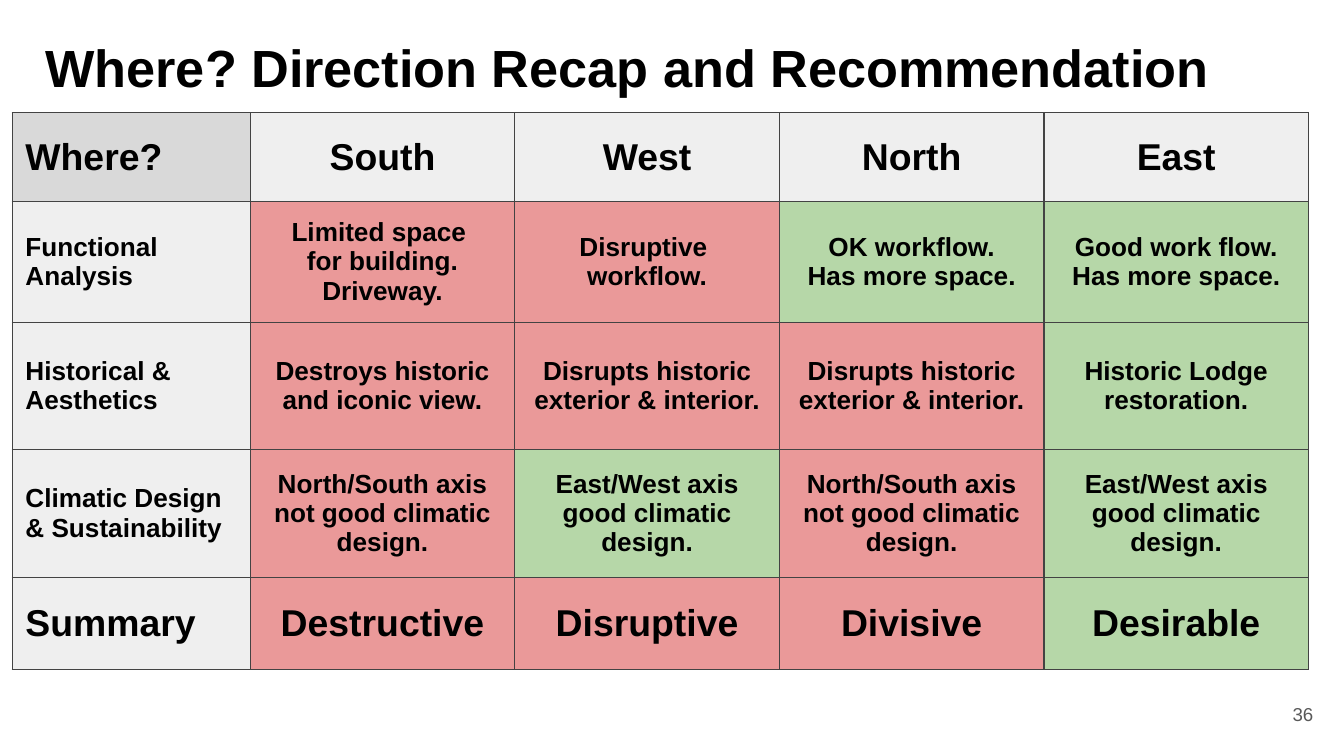
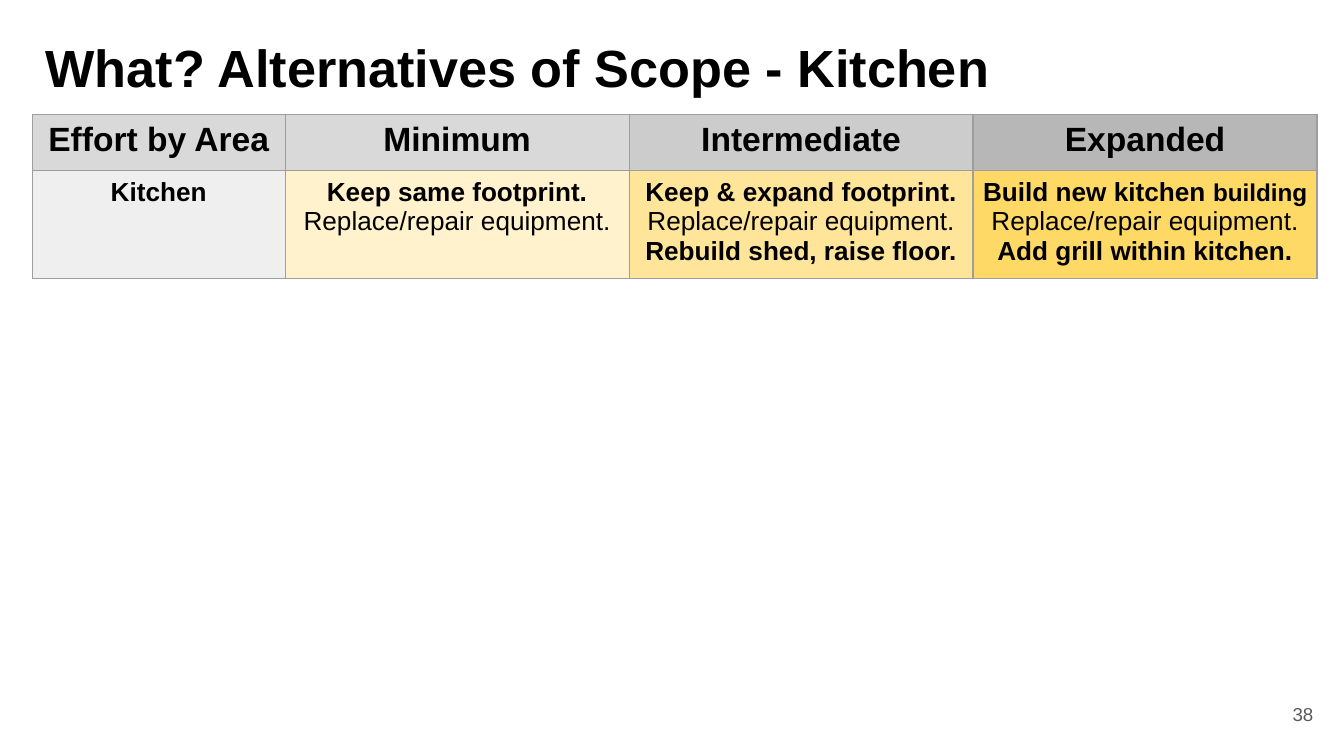
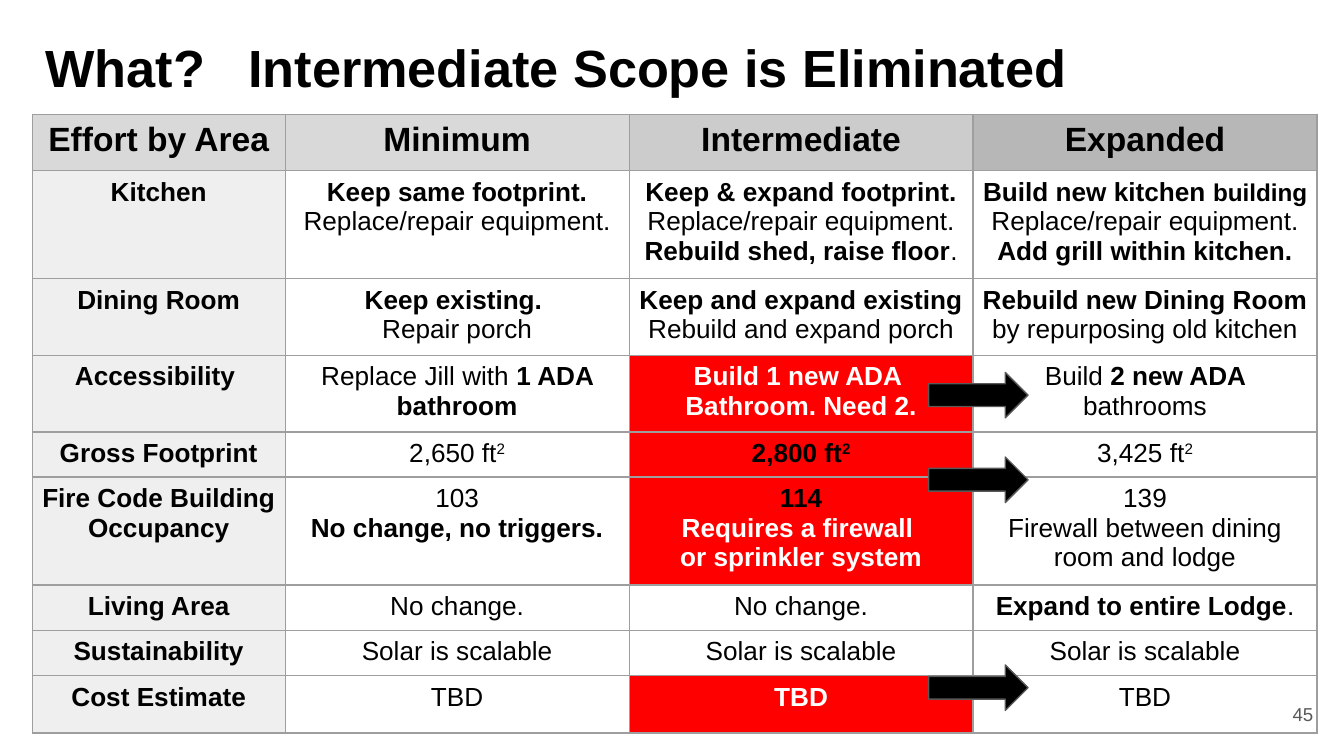
from dataclasses import dataclass
from typing import Optional, Union

import lxml.etree
import pptx
import pptx.dml.color
import pptx.enum.shapes
import pptx.enum.text
import pptx.oxml.ns
import pptx.util

Cm = pptx.util.Cm
Pt = pptx.util.Pt
qn = pptx.oxml.ns.qn
ALIGN = pptx.enum.text.PP_ALIGN
ANCHOR = pptx.enum.text.MSO_ANCHOR

FONT = "Arial"
COLOURS = {
    "text": "000000",
    "white": "FFFFFF",
    "number": "595959",
    "dark rule": "434343",
    "light rule": "9E9E9E",
    "label": "EFEFEF",
    "head": "D9D9D9",
    "head mid": "CCCCCC",
    "head dark": "B7B7B7",
    "bad": "EA9999",
    "good": "B6D7A8",
    "minimum": "FFF2CC",
    "intermediate": "FFE599",
    "expanded": "FFD966",
    "eliminated": "FF0000",
}


@dataclass(frozen=True)
class Piece:
    """A stretch of text in one format; size 0 takes the size of its cell."""
    text: str
    bold: bool = True
    colour: str = "text"
    size: float = 0
    raised: bool = False


Paragraph = Union[str, Piece, list[Piece]]


@dataclass(frozen=True)
class CellText:
    paragraphs: list[Paragraph]
    fill: Optional[str] = None
    size: float = 14
    align: ALIGN = ALIGN.CENTER


@dataclass(frozen=True)
class Grid:
    left: float
    top: float
    height: float
    columns: list[float]
    rows: list[float]
    rule: str
    inset: float
    anchor: ANCHOR


def rgb(name: str) -> pptx.dml.color.RGBColor:
    return pptx.dml.color.RGBColor.from_string(COLOURS[name])


# Text
def format_run(run, piece: Piece, size: float) -> None:
    run.font.name = FONT
    run.font.size = Pt(piece.size or size)
    run.font.bold = piece.bold
    run.font.color.rgb = rgb(piece.colour)
    if piece.raised:
        run._r.get_or_add_rPr().set("baseline", "30000")


def write(frame, paragraphs: list[Paragraph], size: float, align: ALIGN) -> None:
    for index, content in enumerate(paragraphs):
        paragraph = frame.add_paragraph() if index else frame.paragraphs[0]
        paragraph.alignment = align
        if isinstance(content, str):
            content = Piece(content)
        first, *others = content if isinstance(content, list) else [content]
        paragraph.text = first.text
        for run in paragraph.runs:
            format_run(run, first, size)
        for line_break in paragraph._p.findall(qn("a:br")):
            lxml.etree.SubElement(line_break, qn("a:rPr"), sz=str(size * 100))
        for piece in others:
            run = paragraph.add_run()
            run.text = piece.text
            format_run(run, piece, size)


def set_insets(target, inset: float) -> None:
    target.margin_left = target.margin_right = Cm(inset)
    target.margin_top = target.margin_bottom = Cm(inset)


def add_text(slide, box: tuple, piece: Piece, align: ALIGN, anchor: ANCHOR) -> None:
    frame = slide.shapes.add_textbox(*map(Cm, box)).text_frame
    frame.word_wrap = True
    frame.vertical_anchor = anchor
    set_insets(frame, 0.25)
    write(frame, [piece], piece.size, align)


def add_titled_slide(deck, title: str, number: int, title_width: float = 24):
    slide = deck.slides.add_slide(deck.slide_layouts[6])
    add_text(slide, (0.61, 0.41, title_width, 1.6), Piece(title, size=28),
             ALIGN.LEFT, ANCHOR.TOP)
    add_text(slide, (23.55, 12.95, 1.52, 1.09),
             Piece(str(number), False, "number", 10), ALIGN.RIGHT, ANCHOR.MIDDLE)
    return slide


# Tables
def add_borders(cell, rule: str) -> None:
    properties = cell._tc.get_or_add_tcPr()
    for side in ("lnL", "lnR", "lnT", "lnB"):
        line = lxml.etree.SubElement(properties, qn(f"a:{side}"), w=str(Pt(0.75)))
        fill = lxml.etree.SubElement(line, qn("a:solidFill"))
        lxml.etree.SubElement(fill, qn("a:srgbClr"), val=COLOURS[rule])


def add_grid(slide, grid: Grid, content: list[list[CellText]]) -> None:
    holder = slide.shapes.add_table(
        len(grid.rows), len(grid.columns), Cm(grid.left), Cm(grid.top),
        Cm(sum(grid.columns)), Cm(grid.height))
    table = holder.table
    table.first_row = table.horz_banding = False
    for column, width in zip(table.columns, grid.columns):
        column.width = Cm(width)
    for row, height, texts in zip(table.rows, grid.rows, content):
        row.height = Cm(height)
        for cell, text in zip(row.cells, texts):
            set_insets(cell, grid.inset)
            cell.vertical_anchor = grid.anchor
            add_borders(cell, grid.rule)
            if text.fill:
                cell.fill.solid()
                cell.fill.fore_color.rgb = rgb(text.fill)
            else:
                cell.fill.background()
            write(cell.text_frame, text.paragraphs, text.size, text.align)
    holder.height = Cm(grid.height)


# Directions: label, text size, ratings (- bad, + good), one text per direction
DIRECTION_ROWS = [
    ("Functional Analysis", 14, "--++", [
        ["Limited space \vfor building.\vDriveway."],
        ["Disruptive \vworkflow."],
        ["OK workflow.", "Has more space."],
        ["Good work flow.", "Has more space."]]),
    ("Historical & Aesthetics", 14, "---+", [
        ["Destroys historic and iconic view."],
        ["Disrupts historic exterior & interior."],
        ["Disrupts historic exterior & interior."],
        ["Historic Lodge restoration."]]),
    ("Climatic Design & Sustainability", 14, "-+-+", [
        ["North/South axis not good climatic design."],
        ["East/West axis good climatic design."],
        ["North/South axis not good climatic design."],
        ["East/West axis good climatic design."]]),
    ("Summary", 20, "---+", [
        ["Destructive"], ["Disruptive"], ["Divisive"], ["Desirable"]]),
]
RATINGS = {"-": "bad", "+": "good"}


def direction_cells() -> list[list[CellText]]:
    header = [CellText(["Where?"], "head", 20, ALIGN.LEFT)]
    header += [CellText([name], "label", 20)
               for name in ("South", "West", "North", "East")]
    cells = [header]
    for label, size, ratings, verdicts in DIRECTION_ROWS:
        cells.append([CellText([label], "label", size, ALIGN.LEFT)] + [
            CellText(verdict, RATINGS[rating], size)
            for rating, verdict in zip(ratings, verdicts)])
    return cells


# Scope: rows for each area
def plain(text: str) -> Piece:
    return Piece(text, bold=False)


def white(text: str) -> Piece:
    return Piece(text, colour="white")


def square_feet(amount: str, bold: bool = False) -> list[Piece]:
    return [Piece(f"{amount} ft", bold), Piece("2", bold, raised=True)]


def scope_row(area: str, *options: list[Paragraph],
              fills: tuple = (None, None, None)) -> list[CellText]:
    return [CellText([area], "label")] + [
        CellText(option, fill) for option, fill in zip(options, fills)]


def kitchen_row(shed: Paragraph, fills: tuple = (None, None, None)) -> list[CellText]:
    equipment = plain("Replace/repair equipment.")
    return scope_row(
        "Kitchen",
        ["Keep same footprint.", equipment],
        ["Keep & expand footprint.", equipment, shed],
        [[Piece("Build new kitchen "), Piece("building", size=13)],
         [plain("Replace/repair equipment.\v"), Piece("Add grill within kitchen.")]],
        fills=fills)


SCOPE_HEADER = [
    CellText([name], fill, 18) for name, fill in (
        ("Effort by Area", "head"), ("Minimum", "head"),
        ("Intermediate", "head mid"), ("Expanded", "head dark"))]
ELIMINATED = (None, "eliminated", None)
SOLAR = [plain("Solar is scalable")]

ELIMINATION_ROWS = [
    SCOPE_HEADER,
    kitchen_row([Piece("Rebuild shed, raise floor"), plain(".")]),
    scope_row(
        "Dining Room",
        ["Keep existing. ", plain("Repair porch")],
        ["Keep and expand existing", plain("Rebuild and expand porch")],
        [[Piece("Rebuild new Dining Room"), plain(" by repurposing old kitchen")]]),
    scope_row(
        "Accessibility ",
        [[plain("Replace Jill with "), Piece("1 ADA bathroom")]],
        [white("Build 1 new ADA \vBathroom. Need 2.")],
        [[plain("Build "), Piece("2 new ADA "), plain("bathrooms")]],
        fills=ELIMINATED),
    scope_row(
        "Gross Footprint",
        [square_feet("2,650")], [square_feet("2,800", bold=True)],
        [square_feet("3,425")],
        fills=ELIMINATED),
    scope_row(
        "Fire Code Building Occupancy",
        [plain("103"), "No change, no triggers."],
        ["114", white("Requires a firewall \vor sprinkler system")],
        [plain("139"), plain("Firewall between dining room and lodge")],
        fills=ELIMINATED),
    scope_row(
        "Living Area",
        [plain("No change.")], [plain("No change.")],
        [[Piece("Expand to entire Lodge"), plain(".")]]),
    scope_row("Sustainability", SOLAR, SOLAR, SOLAR),
    scope_row("Cost Estimate", [plain("TBD")], [white("TBD")], [plain("TBD")],
              fills=ELIMINATED),
]


def scope_grid(height: float, rows: list[float]) -> Grid:
    return Grid(0.61, 2.16, height, [4.78] + [6.5] * 3, rows,
                "light rule", 0.13, ANCHOR.TOP)


def add_move_arrow(slide, top: float) -> None:
    arrow = slide.shapes.add_shape(
        pptx.enum.shapes.MSO_SHAPE.RIGHT_ARROW,
        Cm(17.55), Cm(top), Cm(1.88), Cm(0.86))
    arrow.shadow.inherit = False
    arrow.fill.solid()
    arrow.fill.fore_color.rgb = rgb("text")
    arrow.line.color.rgb = rgb("number")
    arrow.line.width = Pt(0.75)


# Slides
def main() -> None:
    deck = pptx.Presentation()
    deck.slide_width, deck.slide_height = Cm(25.4), Cm(14.29)

    directions = add_titled_slide(
        deck, "Where? Direction Recap and Recommendation", 36, title_width=25.4)
    add_grid(directions,
             Grid(0.23, 2.13, 10.54, [4.5] + [5] * 4, [1.68, 2.18, 2.41, 2.41, 1.75],
                  "dark rule", 0.25, ANCHOR.MIDDLE),
             direction_cells())

    kitchen = add_titled_slide(deck, "What? Alternatives of Scope - Kitchen", 38)
    add_grid(kitchen, scope_grid(3.1, [1.07, 1.07]),
             [SCOPE_HEADER, kitchen_row("Rebuild shed, raise floor.",
                                        ("minimum", "intermediate", "expanded"))])

    elimination = add_titled_slide(
        deck, "What?   Intermediate Scope is Eliminated", 45)
    add_grid(elimination,
             scope_grid(11.63, [1.07, 1.07, 1.09, 1.09, 0.81, 0.81, 0.81, 0.76, 1.09]),
             ELIMINATION_ROWS)
    for top in (7.04, 8.64, 12.57):
        add_move_arrow(elimination, top)

    deck.save("out.pptx")


if __name__ == "__main__":
    main()
